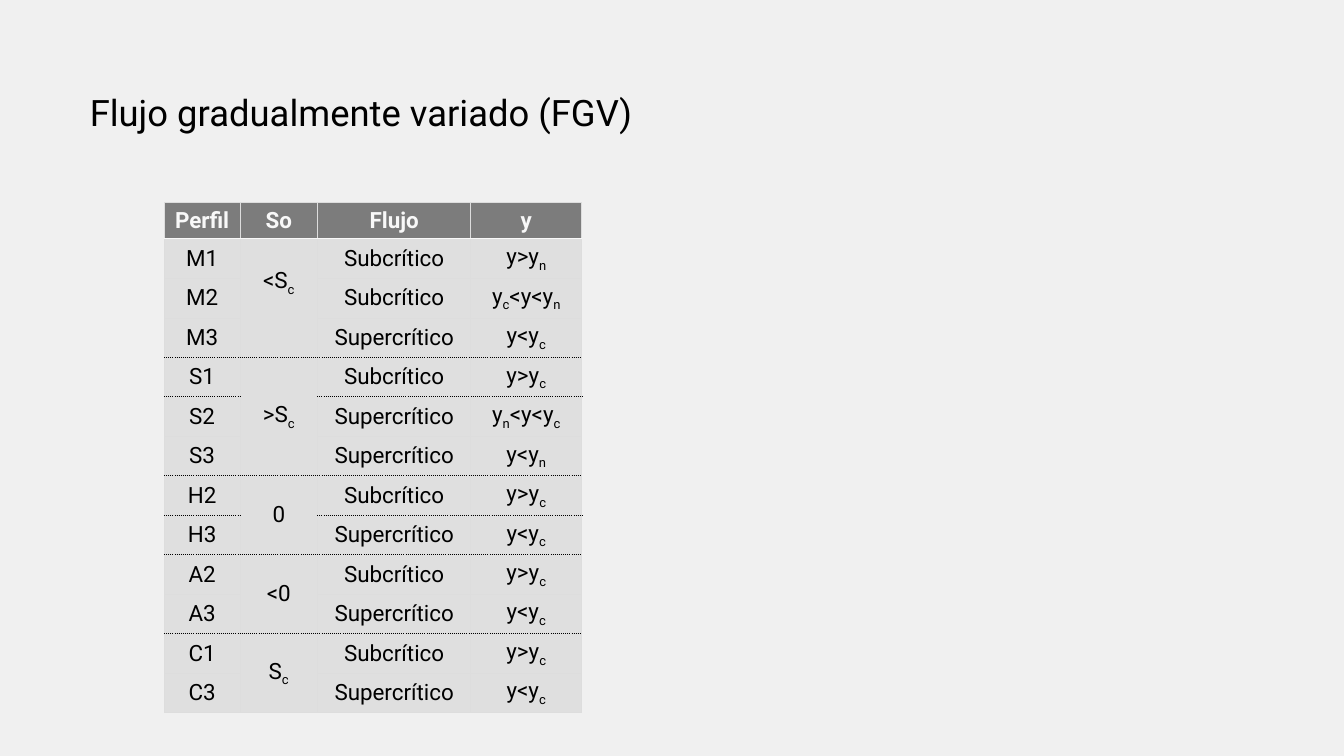
import pptx
import pptx.dml.color
import pptx.enum.text
import pptx.oxml
import pptx.oxml.ns
import pptx.util
from dataclasses import dataclass

Inches = pptx.util.Inches
Color = pptx.dml.color.RGBColor.from_string
Align = pptx.enum.text.PP_ALIGN
Anchor = pptx.enum.text.MSO_ANCHOR


@dataclass(frozen=True)
class Theme:
    font: str = "Roboto"
    background: str = "F0F0F0"
    ink: str = "000000"
    header_fill: str = "7C7C7C"
    header_ink: str = "F8F8F8"
    body_fill: str = "DFDFDF"
    grid: str = "DDDDDD"
    title_size: int = 26
    table_size: int = 16


theme = Theme()


def write_text(paragraph, text, size, color, bold=False):
    first, *rest = text.split("_")
    pieces = [(first, False)]
    for part in rest:
        pieces += [(part[0], True), (part[1:], False)]
    for content, subscript in pieces:
        if not content:
            continue
        run = paragraph.add_run()
        run.text = content
        formats = {"name": theme.font, "size": pptx.util.Pt(size), "bold": bold}
        for attribute, value in formats.items():
            setattr(run.font, attribute, value)
        run.font.color.rgb = Color(color)
        if subscript:
            run._r.get_or_add_rPr().set("baseline", "-25000")


def set_borders(cell, borders):
    properties = cell._tc.get_or_add_tcPr()
    for side in "LRTB":
        color, width, dash = borders[side]
        properties.append(pptx.oxml.parse_xml(
            f'<a:ln{side} {pptx.oxml.ns.nsdecls("a")} w="{pptx.util.Pt(width)}">'
            f'<a:solidFill><a:srgbClr val="{color}"/></a:solidFill>'
            f'<a:prstDash val="{dash}"/></a:ln{side}>'))


presentation = pptx.Presentation()
presentation.slide_width = Inches(13.33)
presentation.slide_height = Inches(7.5)
slide = presentation.slides.add_slide(presentation.slide_layouts[5])
slide.background.fill.solid()
slide.background.fill.fore_color.rgb = Color(theme.background)

title = slide.shapes.title
title_place = {"left": 0.79, "top": 0.89, "width": 6.69, "height": 0.89}
for attribute, value in title_place.items():
    setattr(title, attribute, Inches(value))
title.text_frame.vertical_anchor = Anchor.TOP
title.text_frame.auto_size = pptx.enum.text.MSO_AUTO_SIZE.NONE
title_paragraph = title.text_frame.paragraphs[0]
title_paragraph.alignment = Align.LEFT
title_paragraph.line_spacing = 0.9
write_text(title_paragraph, "Flujo gradualmente variado (FGV)", theme.title_size, theme.ink)

headers = ["Perfil", "So", "Flujo", "y"]
profile_groups = [
    ("<S_c", [("M1", "Subcrítico", "y>y_n"),
              ("M2", "Subcrítico", "y_c<y<y_n"),
              ("M3", "Supercrítico", "y<y_c")]),
    (">S_c", [("S1", "Subcrítico", "y>y_c"),
              ("S2", "Supercrítico", "y_n<y<y_c"),
              ("S3", "Supercrítico", "y<y_n")]),
    ("0", [("H2", "Subcrítico", "y>y_c"), ("H3", "Supercrítico", "y<y_c")]),
    ("<0", [("A2", "Subcrítico", "y>y_c"), ("A3", "Supercrítico", "y<y_c")]),
    ("S_c", [("C1", "Subcrítico", "y>y_c"), ("C3", "Supercrítico", "y<y_c")]),
]
dotted_below = {"M3", "S1", "S3", "H2", "H3", "A3"}

rows = [headers]
spans = []
for slope, profiles in profile_groups:
    spans.append((len(rows), len(rows) + len(profiles) - 1))
    for index, (profile, flow, depth) in enumerate(profiles):
        rows.append([profile, slope if index == 0 else "", flow, depth])

column_widths = [0.75, 0.77, 1.52, 1.1]
row_height = 0.36
table = slide.shapes.add_table(
    len(rows), len(headers), Inches(1.63), Inches(2.01),
    Inches(sum(column_widths)), Inches(row_height * len(rows))).table
table.horz_banding = False
for column, width in zip(table.columns, column_widths):
    column.width = Inches(width)

grid_line = (theme.grid, 0.5, "solid")
header_line = (theme.header_ink, 1, "solid")
dotted_line = (theme.ink, 0.75, "sysDot")
group_starts = {first for first, last in spans}

for row_index, values in enumerate(rows):
    table.rows[row_index].height = Inches(row_height)
    is_header = row_index == 0
    for column_index, text in enumerate(values):
        cell = table.cell(row_index, column_index)
        borders = dict.fromkeys("LRTB", grid_line)
        if is_header:
            borders["B"] = header_line
        elif row_index == 1:
            borders["T"] = header_line
        elif row_index in group_starts or (
                column_index != 1 and rows[row_index - 1][0] in dotted_below):
            borders["T"] = dotted_line
        if column_index != 1 and values[0] in dotted_below:
            borders["B"] = dotted_line
        set_borders(cell, borders)
        cell.fill.solid()
        cell.fill.fore_color.rgb = Color(theme.header_fill if is_header else theme.body_fill)
        cell.vertical_anchor = Anchor.MIDDLE
        cell.margin_left = cell.margin_right = Inches(0.05)
        paragraph = cell.text_frame.paragraphs[0]
        paragraph.alignment = Align.CENTER
        write_text(paragraph, text, theme.table_size,
                   theme.header_ink if is_header else theme.ink, is_header)

for first, last in spans:
    table.cell(first, 1).merge(table.cell(last, 1))
table.cell(1, 1).margin_bottom = Inches(0.35)

presentation.save("out.pptx")
